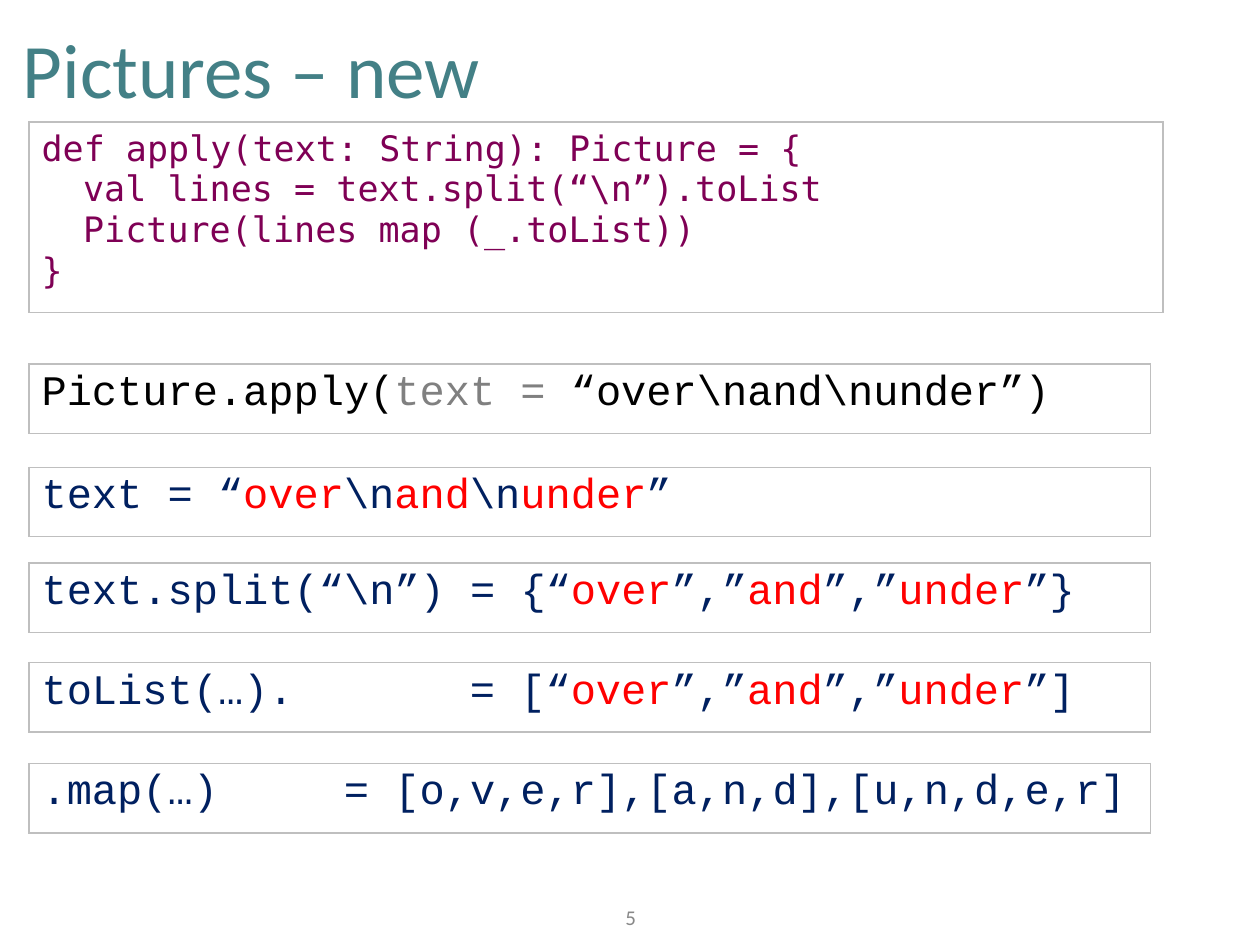
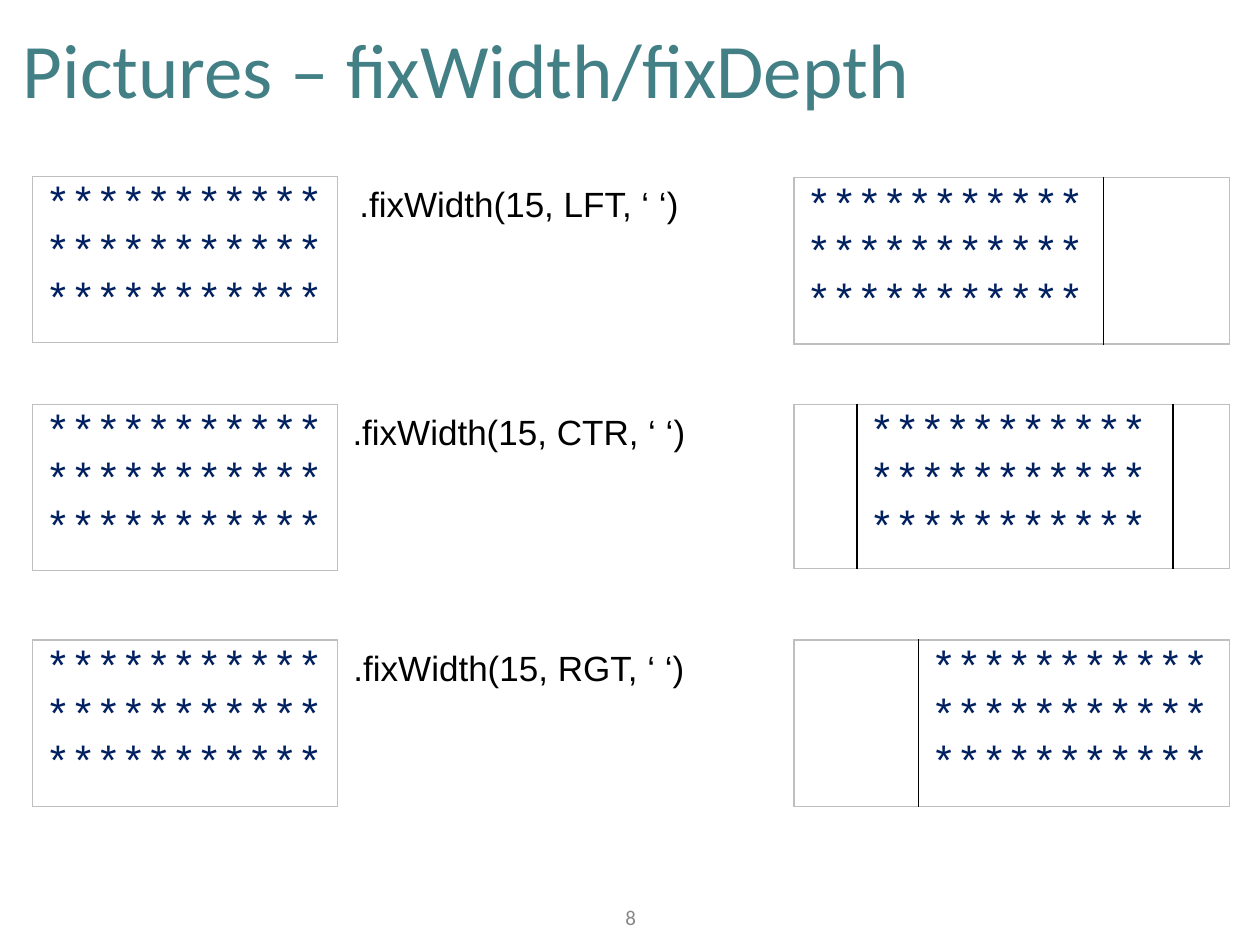
"""Build two slides on a text-picture library: construction and width fixing."""
from dataclasses import dataclass

from lxml import etree
from pptx import Presentation
from pptx.dml.color import RGBColor
from pptx.enum.text import MSO_ANCHOR, MSO_AUTO_SIZE, PP_ALIGN
from pptx.oxml.ns import qn
from pptx.util import Inches, Pt

LEFT, CENTER = PP_ALIGN.LEFT, PP_ALIGN.CENTER
MIDDLE = MSO_ANCHOR.MIDDLE
NO_AUTOFIT, GROW = MSO_AUTO_SIZE.NONE, MSO_AUTO_SIZE.SHAPE_TO_FIT_TEXT
TITLE_ONLY = 5


@dataclass(frozen=True)
class TextStyle:
    """Typeface, size in points and default colour."""
    face: str
    size: int
    color: str


@dataclass(frozen=True)
class Theme:
    """Colours and type styles shared by the slides."""
    title: TextStyle = TextStyle("Calibri", 44, "438086")
    number: TextStyle = TextStyle("Calibri", 12, "888888")
    source: TextStyle = TextStyle("DejaVu Sans Mono", 20, "7F0055")
    code: TextStyle = TextStyle("Courier New", 24, "002060")
    call: TextStyle = TextStyle("Courier New", 24, "000000")
    label: TextStyle = TextStyle("Arial", 20, "000000")
    highlight: str = "FF0000"
    muted: str = "808080"
    frame: str = "BFBFBF"
    divider: str = "000000"
    rule_width: float = 1


THEME = Theme()


@dataclass(frozen=True)
class Span:
    """Text with an optional colour of its own."""
    text: str
    color: str | None = None


@dataclass(frozen=True)
class Line:
    """One paragraph: its spans, indent and tab stop in inches."""
    spans: tuple[Span, ...]
    indent: float = 0
    tab: float = 0


@dataclass(frozen=True)
class Step:
    """One evaluation step, framed at the given top."""
    top: float
    line: Line
    style: TextStyle = THEME.code


@dataclass(frozen=True)
class FixWidth:
    """One alignment example: column widths and the column holding stars."""
    top: float
    result_top: float
    alignment: str
    columns: tuple[float, ...]
    filled: int
    result_height: float = 1.32


def plain(text: str, indent: float = 0, tab: float = 0) -> Line:
    """Return a line of a single span."""
    return Line((Span(text),), indent, tab)


def words(opening: str, separator: str, closing: str, tab: float = 0) -> Line:
    """Return a line with the three sample words highlighted."""
    over, both, under = (Span(w, THEME.highlight) for w in ("over", "and", "under"))
    gap = Span(separator)
    return Line((Span(opening), over, gap, both, gap, under, Span(closing)), tab=tab)


def set_font(font, style: TextStyle, color: str | None = None) -> None:
    """Apply a text style to a font."""
    font.name = style.face
    font.size = Pt(style.size)
    font.color.rgb = RGBColor.from_string(color or style.color)


def write_lines(frame, lines: tuple[Line, ...], style: TextStyle, align=LEFT) -> None:
    """Fill a text frame with styled lines."""
    for index, line in enumerate(lines):
        paragraph = frame.add_paragraph() if index else frame.paragraphs[0]
        paragraph.alignment = align
        set_font(paragraph.font, style)
        properties = paragraph._p.get_or_add_pPr()
        if line.indent:
            properties.set("marL", str(Inches(line.indent)))
        if line.tab:
            stops = etree.Element(qn("a:tabLst"))
            etree.SubElement(stops, qn("a:tab"), pos=str(Inches(line.tab)), algn="l")
            properties.insert(0, stops)
        for span in line.spans:
            run = paragraph.add_run()
            run.text = span.text
            set_font(run.font, style, span.color)


def set_insets(frame, inset: float) -> None:
    """Give a text frame equal insets on all sides."""
    frame.margin_left = frame.margin_right = Inches(inset)
    frame.margin_top = frame.margin_bottom = Inches(inset)


def draw_border(cell, side: str, color: str) -> None:
    """Add one solid border to a cell; side is L, R, T or B."""
    border = etree.SubElement(cell._tc.get_or_add_tcPr(), qn(f"a:ln{side}"),
                              w=str(Pt(THEME.rule_width)))
    fill = etree.SubElement(border, qn("a:solidFill"))
    etree.SubElement(fill, qn("a:srgbClr"), val=color)


def add_frame(slide, left: float, top: float, columns: tuple[float, ...],
              height: float, lines: tuple[Line, ...], style: TextStyle,
              filled: int = 0) -> None:
    """Draw a one-row table with text in its filled column."""
    table = slide.shapes.add_table(1, len(columns), Inches(left), Inches(top),
                                   Inches(sum(columns)), Inches(height)).table
    table.first_row = table.horz_banding = False
    last = len(columns) - 1
    for index, width in enumerate(columns):
        table.columns[index].width = Inches(width)
        cell = table.cell(0, index)
        draw_border(cell, "L", THEME.divider if index else THEME.frame)
        draw_border(cell, "R", THEME.divider if index < last else THEME.frame)
        draw_border(cell, "T", THEME.frame)
        draw_border(cell, "B", THEME.frame)
        cell.fill.background()
        if index == filled:
            write_lines(cell.text_frame, lines, style)


def add_titled_slide(deck, title: str, number: int):
    """Add a slide with the shared title and page number."""
    slide = deck.slides.add_slide(deck.slide_layouts[TITLE_ONLY])
    heading = slide.shapes.title
    heading.left, heading.top = Inches(0.13), Inches(0.1)
    heading.width, heading.height = Inches(9.74), Inches(0.87)
    frame = heading.text_frame
    frame.vertical_anchor = MIDDLE
    frame.auto_size = NO_AUTOFIT
    set_insets(frame, 0.05)
    write_lines(frame, (plain(title),), THEME.title)

    page = slide.shapes.add_textbox(Inches(4.86), Inches(7.13),
                                    Inches(0.29), Inches(0.29)).text_frame
    page.word_wrap = False
    page.auto_size = GROW
    page.vertical_anchor = MIDDLE
    set_insets(page, 0.05)
    write_lines(page, (plain(str(number)),), THEME.number, CENTER)
    return slide


SOURCE_INDENT = 0.33  # two characters of the source style
CODE_CHARACTER = 0.2  # one character of the code style

APPLY_SOURCE = (
    plain("def apply(text: String): Picture = {"),
    plain("val lines = text.split(“\\n”).toList", SOURCE_INDENT),
    plain("Picture(lines map (_.toList))", SOURCE_INDENT),
    plain("}"),
)

STEPS = (
    Step(2.89, Line((Span("Picture.apply("), Span("text =", THEME.muted),
                     Span(" “over\\nand\\nunder”)"))), THEME.call),
    Step(3.71, words("text = “", "\\n", "”")),
    Step(4.47, words("text.split(“\\n”) = {“", "”,”", "”}")),
    Step(5.26, words("toList(…).\t= [“", "”,”", "”]", 17 * CODE_CHARACTER)),
    Step(6.06, plain(".map(…)\t= [o,v,e,r],[a,n,d],[u,n,d,e,r]",
                     tab=12 * CODE_CHARACTER)),
)

STARS = (plain("*" * 11),) * 3

EXAMPLES = (
    FixWidth(1.4, 1.41, "LFT", (2.46, 1), 0),
    FixWidth(3.21, 3.21, "CTR", (0.5, 2.51, 0.45), 1, 1.24),
    FixWidth(5.08, 5.08, "RGT", (0.99, 2.47), 1),
)


def build_new_slide(deck) -> None:
    """Show the apply method and its evaluation step by step."""
    slide = add_titled_slide(deck, "Pictures – new", 5)
    add_frame(slide, 0.23, 0.97, (9,), 1.51, APPLY_SOURCE, THEME.source)
    for step in STEPS:
        add_frame(slide, 0.23, step.top, (8.9,), 0.55, (step.line,), step.style)


def build_fix_width_slide(deck) -> None:
    """Show a picture, the call and the padded result for each alignment."""
    slide = add_titled_slide(deck, "Pictures – fixWidth/fixDepth", 8)
    for example in EXAMPLES:
        add_frame(slide, 0.26, example.top, (2.42,), 1.32, STARS, THEME.code)
        add_frame(slide, 6.3, example.result_top, example.columns,
                  example.result_height, STARS, THEME.code, example.filled)
        call = slide.shapes.add_textbox(Inches(2.68), Inches(example.top),
                                        Inches(2.88), Inches(0.44)).text_frame
        call.word_wrap = True
        call.auto_size = GROW
        write_lines(call, (plain(f".fixWidth(15, {example.alignment}, ‘ ‘)"),),
                    THEME.label, CENTER)


def main() -> None:
    """Build and save the deck."""
    deck = Presentation()
    deck.slide_width, deck.slide_height = Inches(10), Inches(7.5)
    build_new_slide(deck)
    build_fix_width_slide(deck)
    deck.save("out.pptx")


main()
